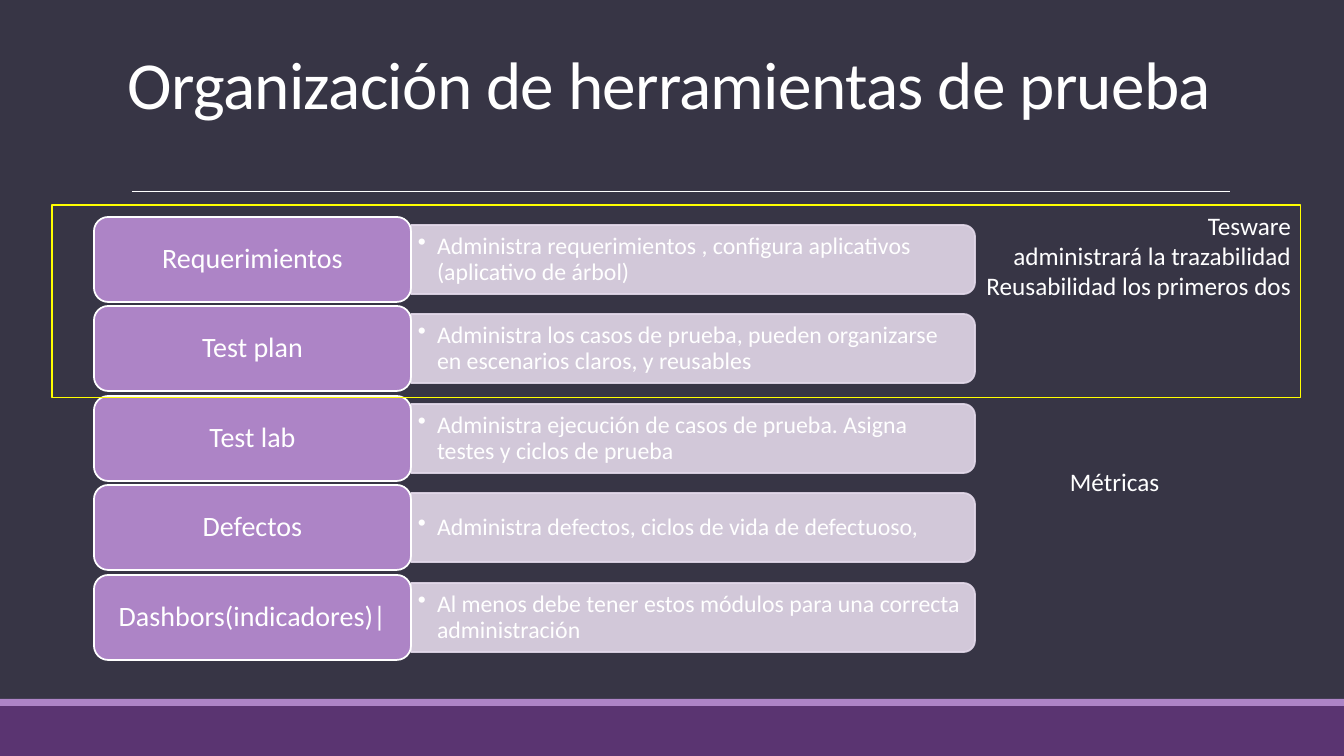
"""Build the slide on how test management tools are organised."""
from dataclasses import dataclass

from lxml.etree import SubElement
from pptx import Presentation
from pptx.dml.color import RGBColor
from pptx.enum.shapes import MSO_CONNECTOR, MSO_SHAPE
from pptx.enum.text import MSO_ANCHOR, PP_ALIGN
from pptx.oxml.ns import qn
from pptx.util import Emu, Pt


@dataclass(frozen=True)
class Theme:
    font: str = "Calibri"
    background: str = "373545"
    footer: str = "5A3471"
    accent: str = "AD84C6"
    panel: str = "E3D9EA"
    text: str = "FFFFFF"
    frame: str = "FFFF00"
    title_size: float = 48
    label_size: float = 20
    detail_size: float = 17
    note_size: float = 18


theme = Theme()
PX = 914400 / 100.8
MODULES = [
    ("Requerimientos", "Administra requerimientos , configura aplicativos (aplicativo de árbol)"),
    ("Test plan", "Administra los casos de prueba, pueden organizarse en escenarios claros, y reusables"),
    ("Test lab", "Administra ejecución de casos de prueba. Asigna testes y ciclos de prueba"),
    ("Defectos", "Administra defectos, ciclos de vida de defectuoso,"),
    ("Dashbors(indicadores)|", "Al menos debe tener estos módulos para una correcta administración"),
]
NOTES = ["Tesware", "administrará la trazabilidad", "Reusabilidad los primeros dos"]
ROWS_TOP, TWO_ROWS = 217, 179
LABEL_LEFT, LABEL_WIDTH, LABEL_HEIGHT = 94, 317, 85
PANEL_LEFT, PANEL_WIDTH, PANEL_HEIGHT = 411, 564, 69

presentation = Presentation()
presentation.slide_width, presentation.slide_height = Emu(round(1344 * PX)), Emu(round(756 * PX))
slide = presentation.slides.add_slide(presentation.slide_layouts[6])
slide.background.fill.solid()
slide.background.fill.fore_color.rgb = RGBColor.from_string(theme.background)


def add_box(kind, box, fill=None, line=None, line_width=1.25):
    """Add a preset shape without shadow."""
    shape = slide.shapes.add_shape(kind, *(Emu(round(value * PX)) for value in box))
    shape.shadow.inherit = False
    if fill:
        shape.fill.solid()
        shape.fill.fore_color.rgb = RGBColor.from_string(fill)
    else:
        shape.fill.background()
    if line:
        shape.line.color.rgb = RGBColor.from_string(line)
        shape.line.width = Pt(line_width)
    else:
        shape.line.fill.background()
    return shape


def write(lines, size, box=None, shape=None, anchor=MSO_ANCHOR.MIDDLE,
          align=PP_ALIGN.LEFT, spacing=0.9, inset_x=7, inset_y=4):
    """Write lines into a shape, or into a new text box, and return the first paragraph."""
    if shape is None:
        shape = slide.shapes.add_textbox(*(Emu(round(value * PX)) for value in box))
    frame = shape.text_frame
    frame.word_wrap = True
    frame.vertical_anchor = anchor
    frame.margin_left = frame.margin_right = Emu(round(inset_x * PX))
    frame.margin_top = frame.margin_bottom = Emu(round(inset_y * PX))
    frame.text = "\n".join(lines)
    for paragraph in frame.paragraphs:
        paragraph.alignment = align
        paragraph.line_spacing = spacing
        paragraph.font.name = theme.font
        paragraph.font.size = Pt(size)
        paragraph.font.color.rgb = RGBColor.from_string(theme.text)
    return frame.paragraphs[0]


add_box(MSO_SHAPE.RECTANGLE, (0, 706, 1344, 50), theme.footer)
add_box(MSO_SHAPE.RECTANGLE, (0, 699, 1344, 7), theme.accent)
rule = slide.shapes.add_connector(
    MSO_CONNECTOR.STRAIGHT, *(Emu(round(value * PX)) for value in (132, 191, 1230, 191)))
rule.line.color.rgb = RGBColor.from_string(theme.text)
rule.line.width = Pt(0.5)
SubElement(rule._element.spPr, qn("a:effectLst"))

title = write(["Organización de herramientas de prueba"], theme.title_size, (118, 45, 1109, 83),
              anchor=MSO_ANCHOR.BOTTOM, spacing=0.85, inset_x=10, inset_y=5)
title.runs[0]._r.get_or_add_rPr().set("spc", "-50")

for row, (label, detail) in enumerate(MODULES):
    top = ROWS_TOP + row * TWO_ROWS // 2
    panel_top = top + (LABEL_HEIGHT - PANEL_HEIGHT) // 2
    turn_shift = (PANEL_WIDTH - PANEL_HEIGHT) / 2
    panel = add_box(MSO_SHAPE.ROUND_2_SAME_RECTANGLE,
                    (PANEL_LEFT + turn_shift, panel_top - turn_shift, PANEL_HEIGHT, PANEL_WIDTH),
                    theme.panel, theme.panel)
    panel.rotation = 90
    for color in panel._element.spPr.iter(qn("a:srgbClr")):
        SubElement(color, qn("a:alpha"), val="90000")

    paragraph = write([detail], theme.detail_size,
                      (PANEL_LEFT, panel_top + 4, PANEL_WIDTH - 4, PANEL_HEIGHT - 8))
    properties = paragraph._p.get_or_add_pPr()
    properties.set("marL", str(round(19 * PX)))
    properties.set("indent", str(round(-19 * PX)))
    bullet = SubElement(properties, qn("a:buChar"), char="•")
    properties.find(qn("a:lnSpc")).addnext(bullet)

    label_box = add_box(MSO_SHAPE.ROUNDED_RECTANGLE, (LABEL_LEFT, top, LABEL_WIDTH, LABEL_HEIGHT),
                        theme.accent, theme.text)
    write([label], theme.label_size, shape=label_box, align=PP_ALIGN.CENTER)

reuse_frame = add_box(MSO_SHAPE.RECTANGLE, (52, 205, 1249, 193), line=theme.frame, line_width=0.75)
write(NOTES, theme.note_size, shape=reuse_frame, anchor=MSO_ANCHOR.TOP,
      align=PP_ALIGN.RIGHT, spacing=1.0, inset_x=10, inset_y=5)
write(["Métricas"], theme.note_size, (1060, 461, 226, 40),
      anchor=MSO_ANCHOR.TOP, spacing=1.0, inset_x=10, inset_y=5)

presentation.save("out.pptx")
